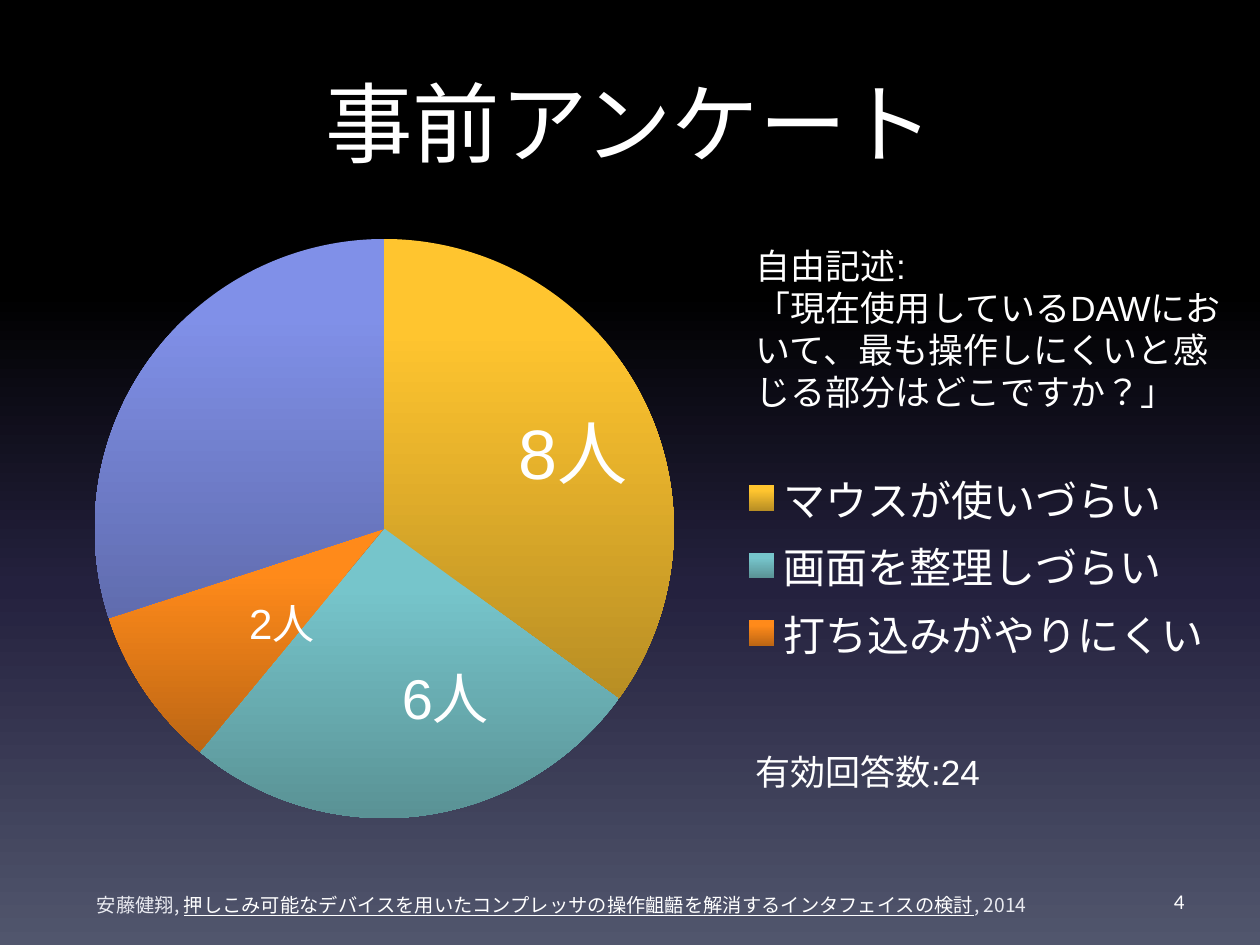
"""Build the survey slide: a pie chart with its question, counts and citation."""
from copy import deepcopy

from lxml import etree
from pptx import Presentation
from pptx.chart.data import CategoryChartData
from pptx.dml.color import RGBColor
from pptx.enum.chart import XL_CHART_TYPE, XL_LEGEND_POSITION
from pptx.enum.lang import MSO_LANGUAGE_ID
from pptx.enum.text import MSO_ANCHOR, MSO_AUTO_SIZE, PP_ALIGN
from pptx.oxml import parse_xml
from pptx.oxml.ns import nsdecls, qn
from pptx.util import Inches, Pt

PIE, RIGHT_LEGEND = XL_CHART_TYPE.PIE, XL_LEGEND_POSITION.RIGHT
LEFT, CENTER, RIGHT = PP_ALIGN.LEFT, PP_ALIGN.CENTER, PP_ALIGN.RIGHT
TOP, MIDDLE = MSO_ANCHOR.TOP, MSO_ANCHOR.MIDDLE
FIT_SHAPE = MSO_AUTO_SIZE.SHAPE_TO_FIT_TEXT
JAPANESE = MSO_LANGUAGE_ID.JAPANESE

WHITE = RGBColor(0xFF, 0xFF, 0xFF)
PALE = RGBColor(0xE9, 0xEA, 0xF0)
BLACK = RGBColor(0x00, 0x00, 0x00)
NIGHT = RGBColor(0x24, 0x21, 0x3E)
SLATE = RGBColor(0x51, 0x56, 0x6D)
GOLD, DARK_GOLD = RGBColor(0xFF, 0xC5, 0x2F), RGBColor(0xB8, 0x8E, 0x24)
TEAL, DARK_TEAL = RGBColor(0x76, 0xC5, 0xCB), RGBColor(0x5A, 0x92, 0x95)
ORANGE, DARK_ORANGE = RGBColor(0xFF, 0x8A, 0x1A), RGBColor(0xBC, 0x66, 0x14)
BLUE, DARK_BLUE = RGBColor(0x80, 0x90, 0xE8), RGBColor(0x60, 0x6C, 0xAE)

HEADING_FONT, BODY_FONT, NOTE_FONT = "Calibri", "Arial", "Noto Sans CJK JP"
COLUMNS, ROWS = 100, 75

ANSWERS = [
    ("マウスが使いづらい", 35, GOLD, DARK_GOLD),
    ("画面を整理しづらい", 26, TEAL, DARK_TEAL),
    ("打ち込みがやりにくい", 9, ORANGE, DARK_ORANGE),
    ("", 30, BLUE, DARK_BLUE),
]
LABELS = [
    ("8人", 40, (40.2, 32, 11.3, 7.7)),
    ("6人", 32, (30.9, 52.2, 9.5, 6.4)),
    ("2人", 24, (18.8, 46.9, 7.6, 5)),
    ("有効回答数:24", 20, (59, 59.1, 20.4, 4.4)),
]
QUESTION = ["自由記述:", "「現在使用しているDAWにおいて、最も操作しにくいと感じる部分はどこですか？」"]
PAPER = "押しこみ可能なデバイスを用いたコンプレッサの操作齟齬を解消するインタフェイスの検討"


class SlideBuilder:
    """Hold the style and the current slide, and place elements on its grid."""

    def __init__(self, deck):
        self.column = deck.slide_width / COLUMNS
        self.row = deck.slide_height / ROWS
        self.page = deck.slides.add_slide(deck.slide_layouts[5])

    def place(self, area):
        left, top, width, height = area
        return [round(left * self.column), round(top * self.row),
                round(width * self.column), round(height * self.row)]

    def style(self, font, size, name=BODY_FONT, color=WHITE):
        font.size, font.name, font.language_id = Pt(size), name, JAPANESE
        font.color.rgb = color

    def gradient(self, fill, stops):
        fill.gradient()
        fill.gradient_angle = 270
        first = fill.gradient_stops[0]._gs
        for _ in stops[2:]:
            first.addnext(deepcopy(first))
        for stop, (position, color) in zip(fill.gradient_stops, stops):
            stop.position, stop.color.rgb = position, color

    def title(self, text, area):
        box = self.page.shapes.title
        box.left, box.top, box.width, box.height = self.place(area)
        box.text_frame.vertical_anchor = TOP
        para = box.text_frame.paragraphs[0]
        para.text, para.alignment = text, CENTER
        self.style(para.font, 50, HEADING_FONT)

    def text(self, lines, size, area, wrap=False, name=BODY_FONT, align=LEFT, anchor=TOP):
        frame = self.page.shapes.add_textbox(*self.place(area)).text_frame
        frame.word_wrap, frame.vertical_anchor = wrap, anchor
        if anchor == TOP:
            frame.auto_size = FIT_SHAPE
        frame.text = "\n".join(lines)
        for para in frame.paragraphs:
            para.alignment = align
            self.style(para.font, size, name)
        return frame

    def citation(self, spans, size, area):
        para = self.text([""], size, area, True, NOTE_FONT).paragraphs[0]
        for words, name, color, underline in spans:
            span = para.add_run()
            span.text = words
            self.style(span.font, size, name, color)
            span.font.underline = underline

    def layout(self, parent, inner, **shares):
        layout = parent.find(qn("c:layout"))
        if layout is None:
            layout = parent.get_or_add_layout()
        for child in list(layout):
            layout.remove(child)
        manual = etree.SubElement(layout, qn("c:manualLayout"))
        settings = {"layoutTarget": "inner"} if inner else {}
        settings |= {"xMode": "edge", "yMode": "edge", **shares}
        for tag, value in settings.items():
            etree.SubElement(manual, qn(f"c:{tag}")).set("val", str(value))

    def pie(self, answers, area):
        data = CategoryChartData()
        data.categories = [answer[0] for answer in answers]
        data.add_series("Series 1", [answer[1] for answer in answers])
        chart = self.page.shapes.add_chart(PIE, *self.place(area), data).chart
        chart.has_title = False
        self.style(chart.font, 10, HEADING_FONT)
        points = chart.plots[0].series[0].points
        for index, (_, _, light, dark) in enumerate(answers):
            shape = points[index].format
            self.gradient(shape.fill, [(0, light), (0.2, light), (1, dark)])
            shape.line.fill.background()
        chart.has_legend = True
        legend = chart.legend
        legend.position, legend.include_in_layout = RIGHT_LEGEND, False
        self.style(legend.font, 24, HEADING_FONT)
        legend._element.find(qn("c:legendPos")).addnext(parse_xml(
            f'<c:legendEntry {nsdecls("c")}><c:idx val="{len(answers) - 1}"/>'
            '<c:delete val="1"/></c:legendEntry>'))
        self.layout(legend._element, False, x=0.58, y=0.39, w=0.39, h=0.34)
        plot_area = chart._chartSpace.chart.plotArea
        if plot_area.find(qn("c:layout")) is None:
            plot_area.insert(0, parse_xml(f'<c:layout {nsdecls("c")}/>'))
        self.layout(plot_area, True, x=0.07, y=0.03, w=0.47, h=0.94)


def main():
    deck = Presentation()
    deck.slide_width, deck.slide_height = Inches(10), Inches(7.5)
    slide = SlideBuilder(deck)
    slide.gradient(slide.page.background.fill,
                   [(0, BLACK), (0.31, BLACK), (0.62, NIGHT), (1, SLATE)])
    slide.title("事前アンケート", (5, 5, 90, 12.5))
    slide.text(["4"], 12, (71.7, 69.5, 23.3, 4), True, HEADING_FONT, RIGHT, MIDDLE)
    slide.pie(ANSWERS, (0, 17.5, 100, 48.9))
    for label, size, area in LABELS:
        slide.text([label], size, area)
    slide.text(QUESTION, 20, (59, 18.9, 38.9, 14.5), wrap=True)
    slide.citation([("安藤健翔, ", NOTE_FONT, PALE, False),
                    (PAPER, HEADING_FONT, WHITE, True),
                    (", 2014", NOTE_FONT, PALE, False)], 11, (6.7, 70.4, 78.3, 2.9))
    deck.save("out.pptx")


if __name__ == "__main__":
    main()
